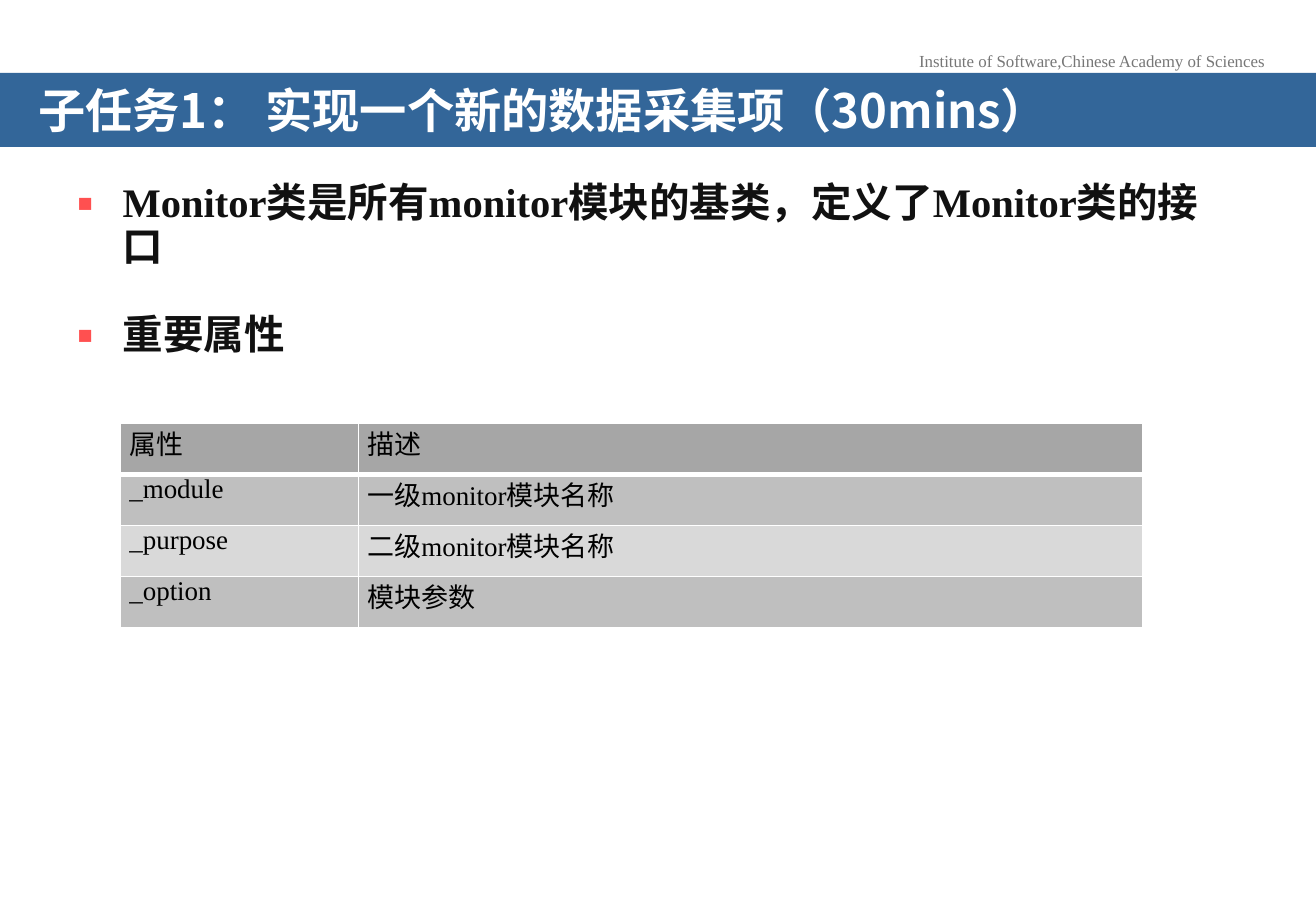
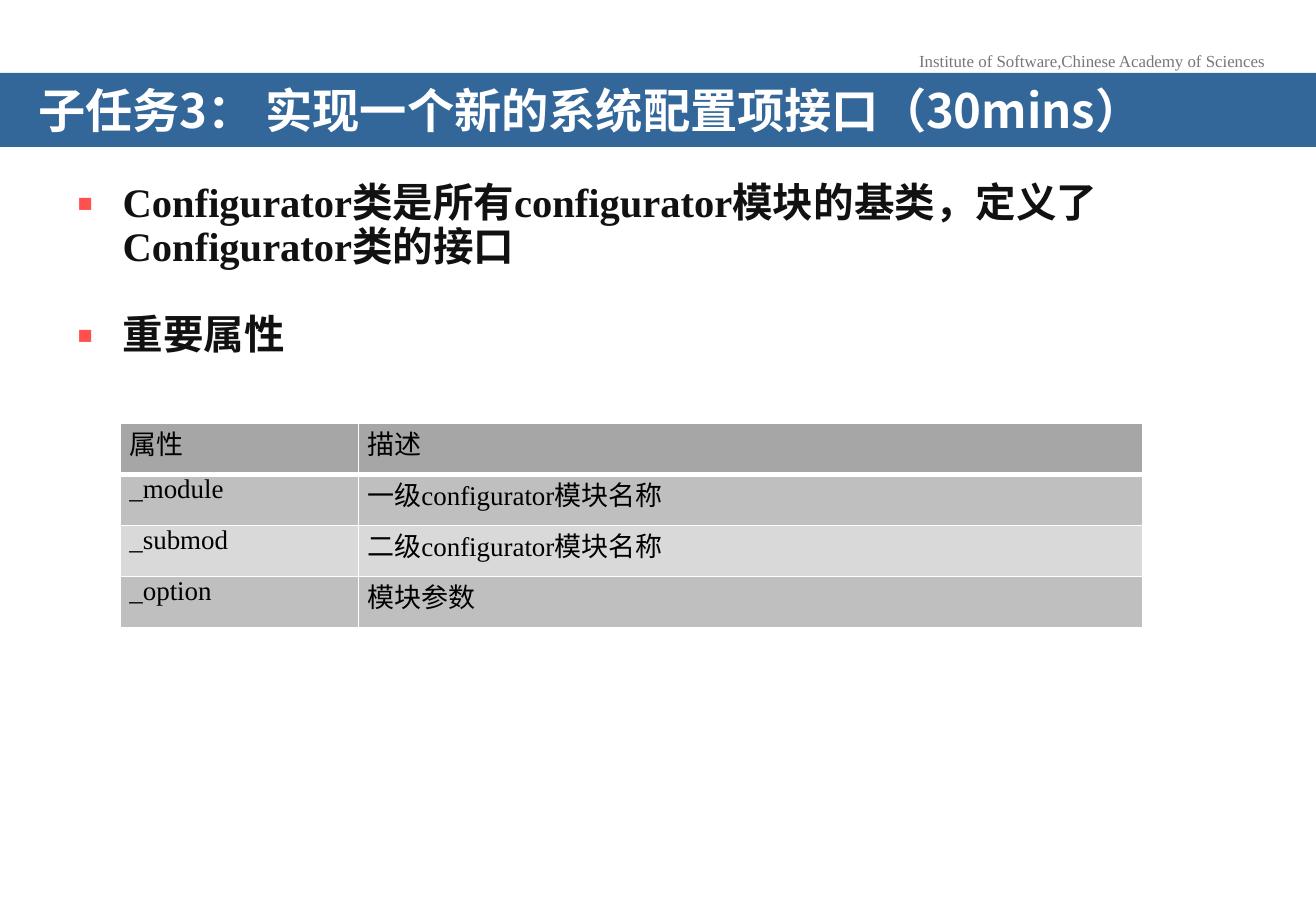
import pptx
import pptx.dml.color
import pptx.enum.text
import pptx.oxml
import pptx.oxml.ns
import pptx.util

# Shared look
SERIF, CJK = "Times New Roman", "Noto Sans CJK SC"
BAND, WHITE, INK, GREY, BULLET = "336699", "FFFFFF", "111111", "777777", "FF5050"
HEAD_FILL, ROW_FILLS = "A6A6A6", ("BFBFBF", "D9D9D9")
CELL = pptx.util.Inches(0.1)  # one square of the layout grid
COLS, ROWS = 108.3, 75
ORG = "Institute of Software,Chinese Academy of Sciences"


def grid(n):
    return pptx.util.Emu(round(n * CELL))


def rgb(color):
    return pptx.dml.color.RGBColor.from_string(color)


def add_xml(parent, xml):
    ns = pptx.oxml.ns.nsdecls("a")
    head, tail = xml.split(" ", 1)
    parent.append(pptx.oxml.parse_xml(f"{head} {ns} {tail}"))


def place(sp, left, top, width, height):
    sp.left, sp.top = grid(left), grid(top)
    sp.width, sp.height = grid(width), grid(height)


def add_run(p, text, size, color, font=SERIF, bold=False):
    r = p.add_run()
    r.text = text
    r.font.size, r.font.bold = pptx.util.Pt(size), bold
    r.font.color.rgb = rgb(color)
    r.font.name = font
    add_xml(r.font._element, f'<a:ea typeface="{CJK}"/>')


def set_frame(tf, wrap=True):
    tf.word_wrap = wrap
    tf.auto_size = pptx.enum.text.MSO_AUTO_SIZE.NONE


def add_org_name(slide):
    sp = slide.shapes.add_textbox(grid(74.5), grid(3.65), grid(30.7), grid(2.7))
    set_frame(sp.text_frame, wrap=False)
    p = sp.text_frame.paragraphs[0]
    p.alignment = pptx.enum.text.PP_ALIGN.CENTER
    add_run(p, ORG, 10, GREY)


def set_title(slide, text):
    sp = slide.shapes.title
    place(sp, 0, 6, COLS, 6.1)
    sp.fill.solid()
    sp.fill.fore_color.rgb = rgb(BAND)
    tf = sp.text_frame
    set_frame(tf)
    tf.vertical_anchor = pptx.enum.text.MSO_ANCHOR.MIDDLE
    tf.margin_left = tf.margin_right = grid(3.15)
    tf.margin_top, tf.margin_bottom = grid(1.6), grid(0.5)
    p = tf.paragraphs[0]
    p.alignment = pptx.enum.text.PP_ALIGN.LEFT
    p.line_spacing = 0.7
    add_run(p, text, 28, WHITE, CJK, True)


def set_bullets(slide, items):
    sp = slide.placeholders[1]
    place(sp, 5.3, 14.55, 97.6, 53.5)
    tf = sp.text_frame
    set_frame(tf)
    for i, text in enumerate(items):
        p = tf.add_paragraph() if i else tf.paragraphs[0]
        p.line_spacing = 0.9
        p.space_before = pptx.util.Pt(26.4 if i else 0)
        pPr = p._p.get_or_add_pPr()
        pPr.set("marL", str(grid(3.8)))
        pPr.set("indent", str(-grid(3.8)))
        add_xml(pPr, f'<a:buClr ><a:srgbClr val="{BULLET}"/></a:buClr>')
        add_xml(pPr, '<a:buSzPct val="120000"/>')
        add_xml(pPr, '<a:buChar char="▪"/>')
        add_run(p, text, 24, INK, bold=True)


def set_borders(cell, top, bottom):
    tcPr = cell._tc.get_or_add_tcPr()
    for side, width in (("L", 1), ("R", 1), ("T", top), ("B", bottom)):
        add_xml(tcPr, f'<a:ln{side} w="{pptx.util.Pt(width)}"><a:solidFill>'
                      f'<a:srgbClr val="{WHITE}"/></a:solidFill></a:ln{side}>')


def add_attribute_table(slide, rows):
    widths, height = (19.6, 64.5), 4.2
    table = slide.shapes.add_table(
        len(rows), len(widths), grid(9.9), grid(34.85),
        grid(sum(widths)), grid(height * len(rows))).table
    for col, width in zip(table.columns, widths):
        col.width = grid(width)
    for i, row in enumerate(rows):
        table.rows[i].height = grid(height)
        for j, text in enumerate(row):
            cell = table.cell(i, j)
            cell.margin_left = cell.margin_right = grid(0.75)
            cell.margin_top = cell.margin_bottom = 0
            # Heavier rule under the header row
            set_borders(cell, 3 if i == 1 else 1, 3 if i == 0 else 1)
            cell.fill.solid()
            cell.fill.fore_color.rgb = rgb(ROW_FILLS[(i - 1) % 2] if i else HEAD_FILL)
            add_run(cell.text_frame.paragraphs[0], text, 16, "000000")


def add_task_slide(prs, title, base, second_attribute):
    slide = prs.slides.add_slide(prs.slide_layouts[1])
    name = base.lower()
    add_org_name(slide)
    set_title(slide, title)
    set_bullets(slide, [f"{base}类是所有{name}模块的基类，定义了{base}类的接口", "重要属性"])
    add_attribute_table(slide, [
        ("属性", "描述"),
        ("_module", f"一级{name}模块名称"),
        (second_attribute, f"二级{name}模块名称"),
        ("_option", "模块参数"),
    ])


def main():
    prs = pptx.Presentation()
    prs.slide_width, prs.slide_height = grid(COLS), grid(ROWS)
    add_task_slide(prs, "子任务1： 实现一个新的数据采集项（30mins）", "Monitor", "_purpose")
    add_task_slide(prs, "子任务3： 实现一个新的系统配置项接口（30mins）", "Configurator", "_submod")
    prs.save("out.pptx")


if __name__ == "__main__":
    main()
